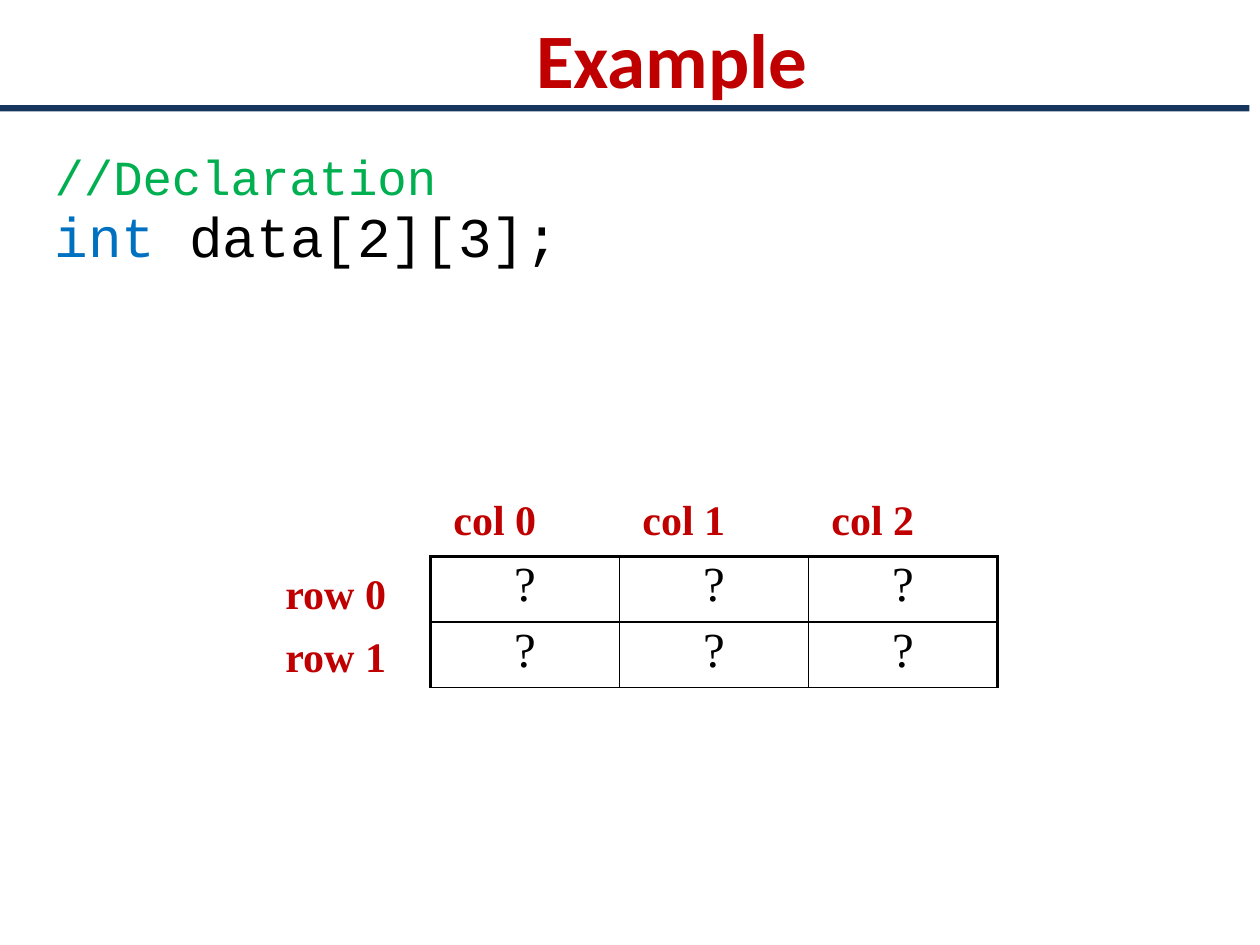
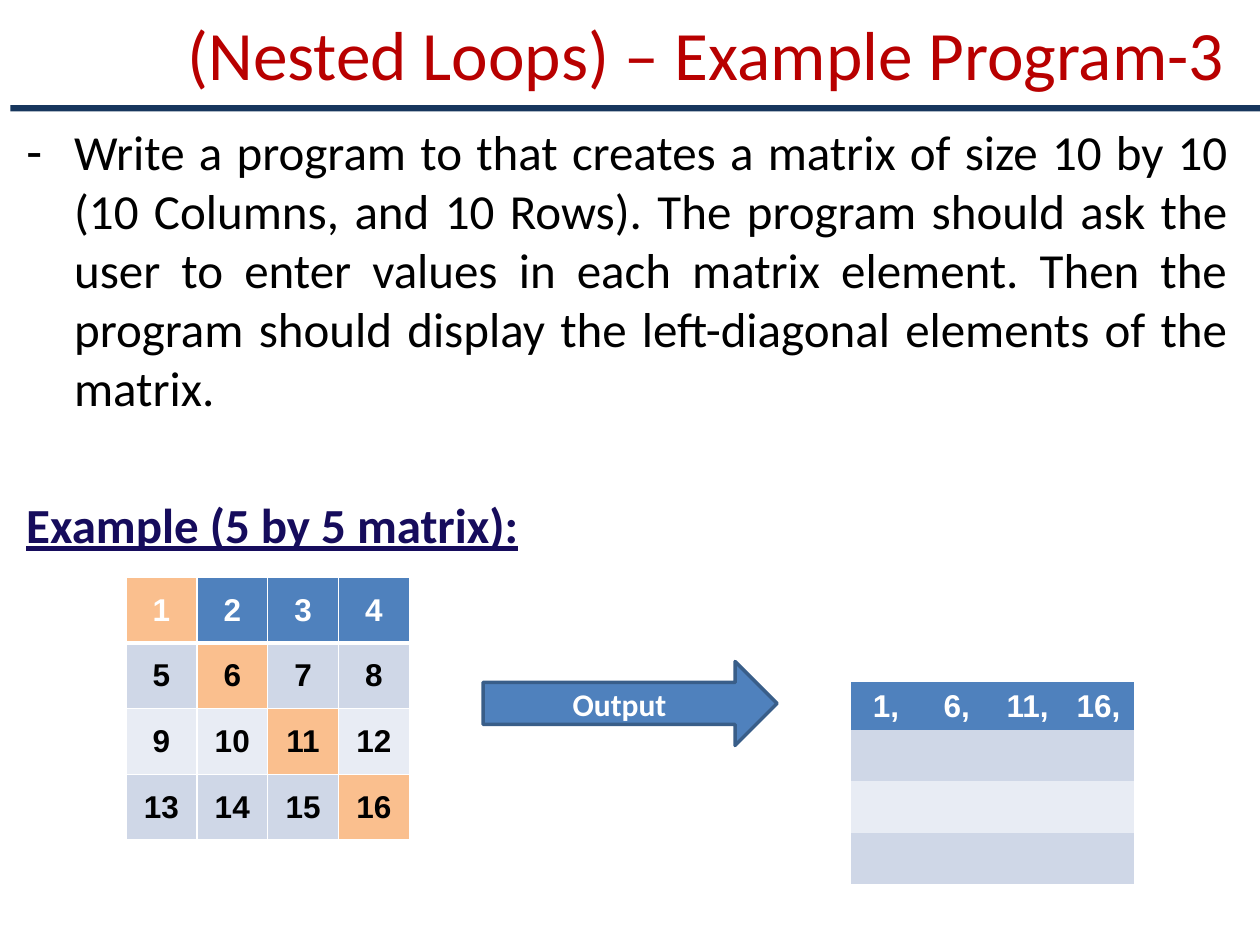
from dataclasses import dataclass

from lxml.etree import SubElement
from pptx import Presentation
from pptx.dml.color import RGBColor
from pptx.enum.shapes import MSO_SHAPE
from pptx.enum.text import MSO_ANCHOR, MSO_AUTO_SIZE, PP_ALIGN
from pptx.oxml.ns import qn
from pptx.util import Inches, Pt

COLUMNS, ROWS = 120, 90  # slide grid
SLIDE_WIDTH, SLIDE_HEIGHT = Inches(10), Inches(7.5)
PLAIN_TABLE_STYLE = "{2D5ABB26-0587-4C30-8999-92F81FD0307C}"


@dataclass(frozen=True)
class Theme:
    heading: str = "Calibri"
    code: str = "Courier New"
    serif: str = "Times New Roman"
    table: str = "Arial"
    red: str = "C00000"
    dark_red: str = "B80000"
    navy: str = "17365D"
    indigo: str = "160C5C"
    green: str = "00B050"
    keyword: str = "0070C0"
    black: str = "000000"
    white: str = "FFFFFF"
    blue: str = "4F81BD"
    blue_edge: str = "395E89"
    orange: str = "FABF8E"
    odd_row: str = "CFD7E7"
    even_row: str = "E8ECF4"
    title_size: float = 44
    long_title_size: float = 39.6
    code_size: float = 32
    body_size: float = 28
    label_size: float = 24
    cell_size: float = 18


THEME = Theme()


@dataclass(frozen=True)
class Box:
    """A rectangle in grid columns and rows."""
    left: float
    top: float
    width: float
    height: float

    def inner(self, left, top, width, height):
        return Box(self.left + left, self.top + top, width, height)

    def lengths(self):
        column, row = SLIDE_WIDTH / COLUMNS, SLIDE_HEIGHT / ROWS
        return (round(self.left * column), round(self.top * row),
                round(self.width * column), round(self.height * row))


PAGE = Box(0, 0, COLUMNS, ROWS)


# Shared helpers
def format_run(run, font, size, color, bold=False, underline=False):
    run.font.name, run.font.size = font, Pt(size)
    run.font.bold, run.font.underline = bold, underline
    run.font.color.rgb = RGBColor.from_string(color)


def paint(fill, color):
    fill.solid()
    fill.fore_color.rgb = RGBColor.from_string(color)


def place(shape, box):
    shape.left, shape.top, shape.width, shape.height = box.lengths()


def format_list_item(paragraph, bullet=None):
    properties = paragraph._p.get_or_add_pPr()
    properties.set("marL", str(Inches(0.38)))
    properties.set("indent", str(-Inches(0.38)))
    if bullet:
        SubElement(properties, qn("a:buChar")).set("char", bullet)
    else:
        SubElement(properties, qn("a:buNone"))


def set_borders(cell, widths, color):
    """Draw borders; widths run left, right, top, bottom in points."""
    properties = cell._tc.get_or_add_tcPr()
    for index, (side, width) in enumerate(zip("LRTB", widths)):
        line = properties.makeelement(qn(f"a:ln{side}"), {"w": str(Pt(width))})
        fill = SubElement(line, qn("a:solidFill"))
        SubElement(fill, qn("a:srgbClr")).set("val", color)
        properties.insert(index, line)


def add_plain_table(slide, box, rows, columns):
    table = slide.shapes.add_table(rows, columns, *box.lengths()).table
    table.first_row = table.horz_banding = False
    table._tbl.tblPr.find(qn("a:tableStyleId")).text = PLAIN_TABLE_STYLE
    return table


def write_cell(cell, text, font, size, color, bold=False):
    cell.text_frame.text = text
    paragraph = cell.text_frame.paragraphs[0]
    paragraph.alignment = PP_ALIGN.CENTER
    for run in paragraph.runs:
        format_run(run, font, size, color, bold)
    return paragraph


# Title, band and body shared by both slides
def add_page(presentation, title, title_box, size, color, bold, band_left, band_width):
    slide = presentation.slides.add_slide(presentation.slide_layouts[1])
    shape = slide.shapes.title
    place(shape, title_box)
    frame = shape.text_frame
    frame.text = title
    frame.auto_size = MSO_AUTO_SIZE.NONE
    frame.vertical_anchor = MSO_ANCHOR.MIDDLE
    frame.paragraphs[0].alignment = PP_ALIGN.CENTER
    format_run(frame.paragraphs[0].runs[0], THEME.heading, size, color, bold)

    band = slide.shapes.add_shape(
        MSO_SHAPE.RECTANGLE, *PAGE.inner(band_left, 10, band_width, 0.6).lengths())
    band.shadow.inherit = False
    paint(band.fill, THEME.navy)
    band.line.fill.background()
    return slide


def open_body(slide, box):
    body = slide.placeholders[1]
    place(body, box)
    body.text_frame.auto_size = MSO_AUTO_SIZE.NONE
    return body.text_frame


# Array declaration slide
def add_declaration(slide, box):
    frame = open_body(slide, box)
    frame.text = "//Declaration\nint "
    comment, statement = frame.paragraphs
    statement.add_run().text = "data[2][3];"
    for paragraph, space in ((comment, 0), (statement, 1.6)):
        paragraph.line_spacing, paragraph.space_before = 0.9, Pt(space)
        format_list_item(paragraph)
    format_run(comment.runs[0], THEME.code, THEME.body_size, THEME.green)
    for run, color in zip(statement.runs, (THEME.keyword, THEME.black)):
        format_run(run, THEME.code, THEME.code_size, color)


def add_label(slide, box, text):
    frame = slide.shapes.add_textbox(*box.lengths()).text_frame
    frame.word_wrap = True
    frame.text = text
    frame.paragraphs[0].line_spacing = 0.9
    format_run(frame.paragraphs[0].runs[0], THEME.serif, THEME.label_size, THEME.red, bold=True)


def add_array_diagram(slide, box, rows=2, columns=3):
    column_width, row_height = 18, 6.25
    table = add_plain_table(
        slide, box.inner(15, 6, column_width * columns, row_height * rows), rows, columns)
    for row in range(rows):
        for column in range(columns):
            cell = table.cell(row, column)
            paragraph = write_cell(cell, "?", THEME.serif, THEME.body_size, THEME.black)
            paragraph.line_spacing = 0.9
            outer = (column == 0, column == columns - 1, row == 0, False)
            set_borders(cell, [2.25 if edge else 1 for edge in outer], THEME.black)
    for row in range(rows):
        add_label(slide, box.inner(0, 7 + 6 * row, 14, 5.5), f"row {row}")
    for column in range(columns):
        add_label(slide, box.inner(16 + column_width * column, 0, 14, 5.5), f"col {column}")


def build_declaration_slide(presentation):
    slide = add_page(presentation, "Example", PAGE.inner(10, 0.25, 108, 10.5),
                     THEME.title_size, THEME.red, True, 0, 119)
    add_declaration(slide, PAGE.inner(4, 14, 108, 16))
    add_array_diagram(slide, PAGE.inner(26, 47, 69, 19))


# Diagonal exercise slide
def add_task(slide, box):
    frame = open_body(slide, box)
    frame.text = (
        "Write a program to that creates a matrix of size 10 by 10 (10 Columns, and 10 Rows). "
        "The program should ask the user to enter values in each matrix element. Then the "
        "program should display the left-diagonal elements of the matrix.\n"
        "Example (5 by 5 matrix):")
    task, example = frame.paragraphs
    for paragraph, space, bullet in ((task, 0, "-"), (example, 45, None)):
        paragraph.alignment, paragraph.space_before = PP_ALIGN.JUSTIFY, Pt(space)
        format_list_item(paragraph, bullet)
    format_run(task.runs[0], THEME.heading, THEME.body_size, THEME.black)
    format_run(example.runs[0], THEME.heading, THEME.body_size, THEME.indigo,
               bold=True, underline=True)


def add_banded_table(slide, box, values, diagonal=False):
    """Fill a table with a header row and alternating bands."""
    table = add_plain_table(slide, box, len(values), len(values[0]))
    for row, line in enumerate(values):
        band = THEME.blue if row == 0 else (THEME.even_row, THEME.odd_row)[row % 2]
        for column, text in enumerate(line):
            cell = table.cell(row, column)
            cell.vertical_anchor = MSO_ANCHOR.MIDDLE
            paint(cell.fill, THEME.orange if diagonal and row == column else band)
            write_cell(cell, text, THEME.table, THEME.cell_size,
                       THEME.black if row else THEME.white, bold=True)
            if diagonal:
                top, bottom = 3 if row == 1 else 1, 3 if row == 0 else 1
                set_borders(cell, (1, 1, top, bottom), THEME.white)


def add_output_arrow(slide, box):
    arrow = slide.shapes.add_shape(MSO_SHAPE.RIGHT_ARROW, *box.lengths())
    arrow.shadow.inherit = False
    paint(arrow.fill, THEME.blue)
    arrow.line.color.rgb = RGBColor.from_string(THEME.blue_edge)
    arrow.line.width = Pt(2)
    frame = arrow.text_frame
    frame.text = "Output"
    frame.vertical_anchor = MSO_ANCHOR.MIDDLE
    frame.paragraphs[0].alignment = PP_ALIGN.CENTER
    format_run(frame.paragraphs[0].runs[0], THEME.heading, THEME.cell_size,
               THEME.white, bold=True)


def add_diagonal_example(slide, box, size=4):
    matrix = [[str(row * size + column + 1) for column in range(size)] for row in range(size)]
    output = [[f"{matrix[index][index]}," for index in range(size)]]
    output += [[""] * size for _ in range(size - 1)]
    add_banded_table(slide, box.inner(0, 0, 27, 25), matrix, diagonal=True)
    add_output_arrow(slide, box.inner(34, 8, 28, 8))
    add_banded_table(slide, box.inner(69, 10, 27, 18.24), output)


def build_diagonal_slide(presentation):
    slide = add_page(presentation, " (Nested Loops) – Example Program-3",
                     PAGE.inner(13, 0.5, 107, 9), THEME.long_title_size,
                     THEME.dark_red, False, 1, 119)
    add_task(slide, PAGE.inner(1.3, 11, 116.8, 76))
    add_diagonal_example(slide, PAGE.inner(12, 55, 96, 29))


def main():
    presentation = Presentation()
    presentation.slide_width, presentation.slide_height = SLIDE_WIDTH, SLIDE_HEIGHT
    build_declaration_slide(presentation)
    build_diagonal_slide(presentation)
    presentation.save("out.pptx")


if __name__ == "__main__":
    main()
